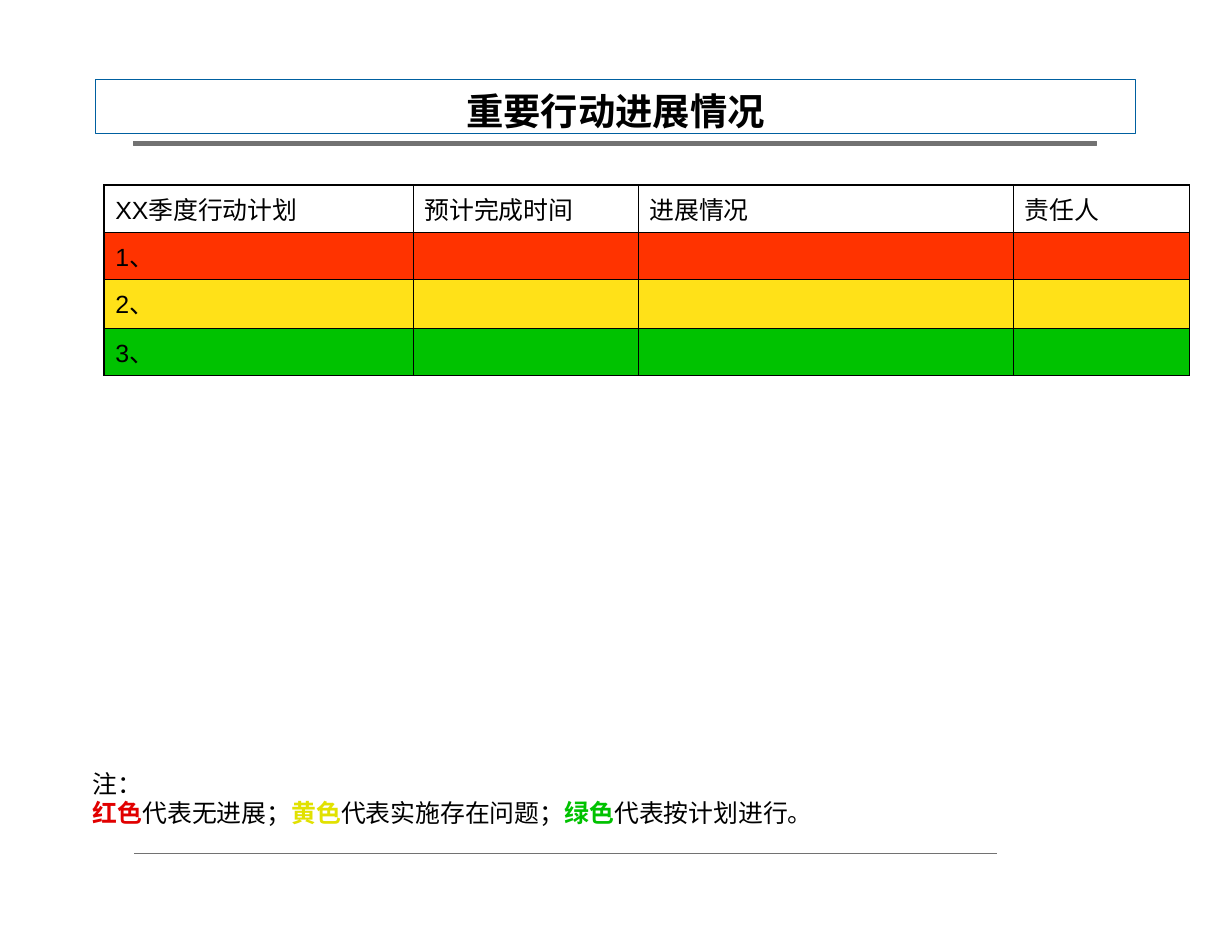
"""Build the slide that tracks the progress of key quarterly actions."""
import pptx
import pptx.dml.color
import pptx.enum.shapes
import pptx.enum.text
import pptx.oxml.ns
import pptx.util
from lxml import etree

RGB = pptx.dml.color.RGBColor
BLACK = RGB(0x00, 0x00, 0x00)
GREY = RGB(0x72, 0x72, 0x72)
BLUE = RGB(0x00, 0x60, 0xA0)
ROW_RED = RGB(0xFF, 0x33, 0x00)
ROW_YELLOW = RGB(0xFF, 0xE1, 0x18)
GREEN = RGB(0x00, 0xC2, 0x00)
NOTE_RED = RGB(0xE1, 0x00, 0x00)
NOTE_YELLOW = RGB(0xE1, 0xE1, 0x00)

LATIN = "Arial"
CJK = "Noto Sans CJK SC"
THIN, THICK, RULE = 0.45, 1.08, 0.71

TITLE = "重要行动进展情况"
COLUMNS = [("XX季度行动计划", 2.76), ("预计完成时间", 2.01), ("进展情况", 3.35), ("责任人", 1.57)]
ACTIONS = [("1、", ROW_RED, 0.37), ("2、", ROW_YELLOW, 0.44), ("3、", GREEN, 0.41)]
HEADER_HEIGHT = 0.37
NOTE_LABEL = "注："
LEGEND = [
    ("红色", NOTE_RED, "代表无进展；"),
    ("黄色", NOTE_YELLOW, "代表实施存在问题；"),
    ("绿色", GREEN, "代表按计划进行。"),
]


def inches(*lengths):
    return [pptx.util.Inches(length) for length in lengths]


def write(paragraph, text, size=16, font=CJK, color=BLACK, bold=False):
    run = paragraph.add_run()
    run.text = text
    run.font.size = pptx.util.Pt(size)
    run.font.name = font
    run.font.bold = bold
    run.font.color.rgb = color
    east_asian = etree.SubElement(run.font._element, pptx.oxml.ns.qn("a:ea"))
    east_asian.set("typeface", CJK)


def clear_insets(frame):
    frame.margin_left = frame.margin_right = frame.margin_top = frame.margin_bottom = 0
    frame.word_wrap = True


def add_border(cell, side, width):
    qn = pptx.oxml.ns.qn
    border = etree.SubElement(cell._tc.get_or_add_tcPr(), qn("a:ln" + side))
    border.set("w", str(int(pptx.util.Pt(width))))
    fill = etree.SubElement(border, qn("a:solidFill"))
    etree.SubElement(fill, qn("a:srgbClr")).set("val", str(BLACK))


def add_header(slide):
    shapes = pptx.enum.shapes.MSO_SHAPE
    bar = slide.shapes.add_shape(shapes.ROUNDED_RECTANGLE, *inches(1.19, 1.26, 8.6, 0.04))
    bar.adjustments[0] = 0
    bar.fill.solid()
    bar.fill.fore_color.rgb = GREY
    title = slide.shapes.add_shape(shapes.RECTANGLE, *inches(0.85, 0.71, 9.29, 0.48))
    title.fill.background()
    for shape, color in ((bar, GREY), (title, BLUE)):
        shape.shadow.inherit = False
        shape.line.color.rgb = color
        shape.line.width = pptx.util.Pt(RULE)
    clear_insets(title.text_frame)
    title.text_frame.vertical_anchor = pptx.enum.text.MSO_ANCHOR.BOTTOM
    heading = title.text_frame.paragraphs[0]
    heading.alignment = pptx.enum.text.PP_ALIGN.CENTER
    write(heading, TITLE, size=24, bold=True)


def add_progress_table(slide):
    names = [name for name, _ in COLUMNS]
    widths = [width for _, width in COLUMNS]
    rows = [(names, None, HEADER_HEIGHT)]
    rows += [([label], color, height) for label, color, height in ACTIONS]
    total_height = sum(height for _, _, height in rows)
    table = slide.shapes.add_table(
        len(rows), len(widths), *inches(0.93, 1.65, sum(widths), total_height)
    ).table
    table.first_row = table.horz_banding = False
    for column, width in zip(table.columns, widths):
        column.width = pptx.util.Inches(width)
    last_row, last_column = len(rows) - 1, len(widths) - 1
    for r, (texts, color, height) in enumerate(rows):
        table.rows[r].height = pptx.util.Inches(height)
        for c in range(len(widths)):
            cell = table.cell(r, c)
            outer = {"L": c == 0, "R": c == last_column, "T": r == 0, "B": r == last_row}
            for side, is_outer in outer.items():
                add_border(cell, side, THICK if is_outer else THIN)
            if color is None:
                cell.fill.background()
            else:
                cell.fill.solid()
                cell.fill.fore_color.rgb = color
            if c < len(texts):
                paragraph = cell.text_frame.paragraphs[0]
                paragraph.space_before = pptx.util.Pt(4)
                write(paragraph, texts[c], font=LATIN)


def add_note(slide):
    frame = slide.shapes.add_textbox(*inches(0.83, 6.86, 9.79, 0.63)).text_frame
    clear_insets(frame)
    write(frame.paragraphs[0], NOTE_LABEL)
    legend = frame.add_paragraph()
    for name, color, meaning in LEGEND:
        write(legend, name, color=color, bold=True)
        write(legend, meaning)


def add_footer_rule(slide):
    rule = slide.shapes.add_connector(
        pptx.enum.shapes.MSO_CONNECTOR.STRAIGHT, *inches(1.2, 7.62, 8.9, 7.62)
    )
    rule.line.color.rgb = GREY
    rule.line.width = pptx.util.Pt(RULE)
    etree.SubElement(rule._element.spPr, pptx.oxml.ns.qn("a:effectLst"))


def main():
    deck = pptx.Presentation()
    deck.slide_width, deck.slide_height = inches(11, 8.5)
    slide = deck.slides.add_slide(deck.slide_layouts[6])
    add_header(slide)
    add_footer_rule(slide)
    add_progress_table(slide)
    add_note(slide)
    deck.save("out.pptx")


if __name__ == "__main__":
    main()
